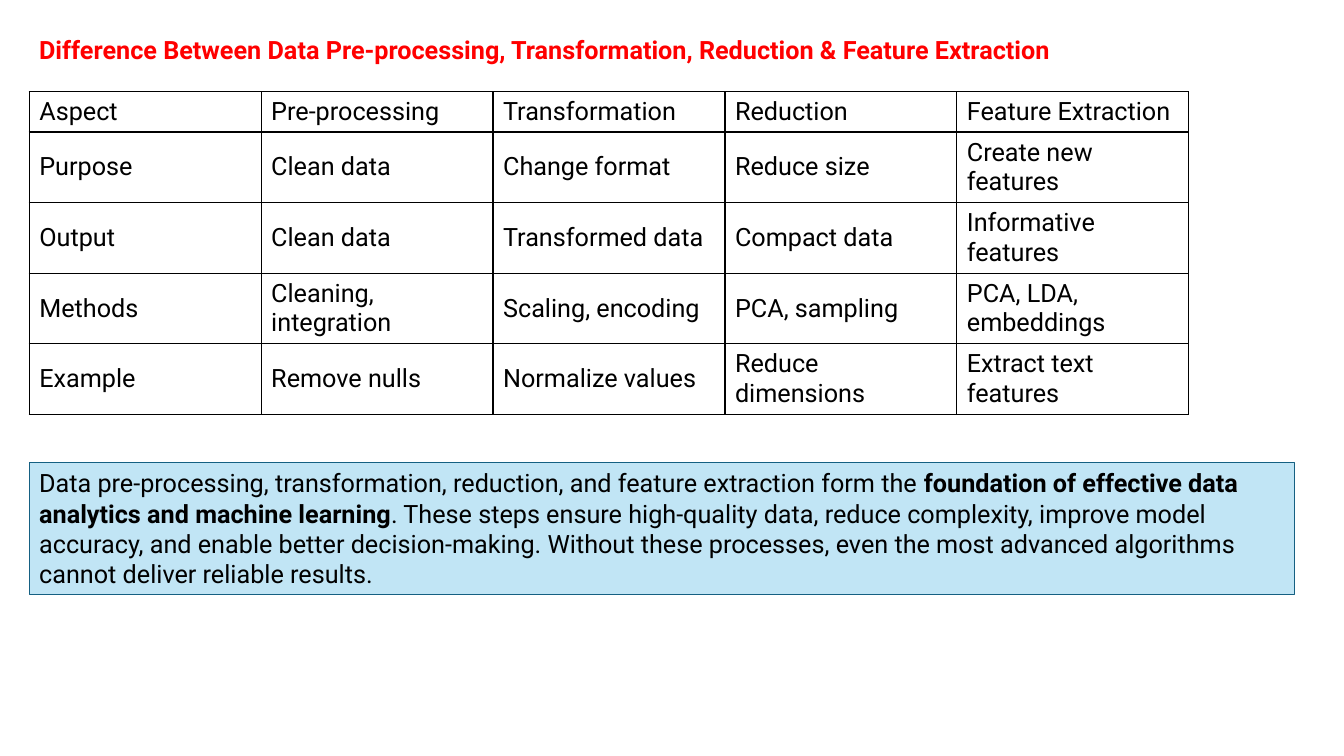
from dataclasses import dataclass

from lxml import etree
from pptx import Presentation
from pptx import util as u
from pptx.dml.color import RGBColor
from pptx.enum import shapes, text
from pptx.oxml.ns import qn


@dataclass(frozen=True)
class Theme:
    font: str = "Roboto"
    size: int = 18
    title: str = "FF0000"
    ink: str = "000000"
    panel: str = "C1E5F5"
    panel_line: str = "156082"
    grid_width: float = 1
    panel_line_width: float = 0.75


class SlideBuilder:
    def __init__(self, slide, theme):
        self.slide = slide
        self.theme = theme

    def set_runs(self, text_frame, runs, color):
        """Fill a frame with one left-aligned paragraph of (words, bold) runs."""
        text_frame.word_wrap = True
        paragraph = text_frame.paragraphs[0]
        paragraph.alignment = text.PP_ALIGN.LEFT
        for words, bold in runs:
            run = paragraph.add_run()
            run.text = words
            run.font.name = self.theme.font
            run.font.size = u.Pt(self.theme.size)
            run.font.bold = bold
            run.font.color.rgb = RGBColor.from_string(color)

    def title(self, words, left, top, width, height):
        box = self.slide.shapes.add_textbox(*map(u.Inches, (left, top, width, height)))
        self.set_runs(box.text_frame, [(words, True)], self.theme.title)

    def panel(self, runs, left, top, width, height):
        shape = self.slide.shapes.add_shape(
            shapes.MSO_SHAPE.RECTANGLE, *map(u.Inches, (left, top, width, height)))
        shape.shadow.inherit = False
        shape.fill.solid()
        shape.fill.fore_color.rgb = RGBColor.from_string(self.theme.panel)
        shape.line.color.rgb = RGBColor.from_string(self.theme.panel_line)
        shape.line.width = u.Pt(self.theme.panel_line_width)
        shape.text_frame.vertical_anchor = text.MSO_ANCHOR.TOP
        self.set_runs(shape.text_frame, runs, self.theme.ink)

    def cell_borders(self, cell):
        properties = cell._tc.get_or_add_tcPr()
        for side in ("lnL", "lnR", "lnT", "lnB"):
            line = etree.SubElement(properties, qn(f"a:{side}"),
                                    w=str(u.Pt(self.theme.grid_width)))
            fill = etree.SubElement(line, qn("a:solidFill"))
            etree.SubElement(fill, qn("a:srgbClr"), val=self.theme.ink)

    def table(self, rows, left, top, column_width, row_heights):
        frame = self.slide.shapes.add_table(
            len(rows), len(rows[0]), u.Inches(left), u.Inches(top),
            u.Inches(column_width * len(rows[0])), u.Inches(sum(row_heights)))
        table = frame.table
        table.first_row = table.horz_banding = False
        for column in table.columns:
            column.width = u.Inches(column_width)
        for row_index, (values, height) in enumerate(zip(rows, row_heights)):
            table.rows[row_index].height = u.Inches(height)
            for column_index, value in enumerate(values):
                cell = table.cell(row_index, column_index)
                cell.vertical_anchor = text.MSO_ANCHOR.MIDDLE
                self.cell_borders(cell)
                cell.fill.background()
                self.set_runs(cell.text_frame, [(value, False)], self.theme.ink)


COMPARISON = [
    ("Aspect", "Pre-processing", "Transformation", "Reduction", "Feature Extraction"),
    ("Purpose", "Clean data", "Change format", "Reduce size", "Create new features"),
    ("Output", "Clean data", "Transformed data", "Compact data", "Informative features"),
    ("Methods", "Cleaning, integration", "Scaling, encoding", "PCA, sampling",
     "PCA, LDA, embeddings"),
    ("Example", "Remove nulls", "Normalize values", "Reduce dimensions",
     "Extract text features"),
]

CONCLUSION = [
    ("Data pre-processing, transformation, reduction, and feature extraction form the ",
     False),
    ("foundation of effective data analytics and machine learning", True),
    (". These steps ensure high-quality data, reduce complexity, improve model accuracy, "
     "and enable better decision-making. Without these processes, even the most advanced "
     "algorithms cannot deliver reliable results.", False),
]


def main():
    presentation = Presentation()
    presentation.slide_width = u.Inches(13.33)
    presentation.slide_height = u.Inches(7.5)
    slide = presentation.slides.add_slide(presentation.slide_layouts[6])
    builder = SlideBuilder(slide, Theme())
    margin = 0.29

    # Heading
    builder.title("Difference Between Data Pre-processing, Transformation, "
                  "Reduction & Feature Extraction", margin, 0.29, 12.67, 0.4)

    # Comparison table: a one-line header above two-line rows
    row_heights = [0.4] + [0.7] * (len(COMPARISON) - 1)
    builder.table(COMPARISON, margin, 0.91, 2.3, row_heights)

    # Conclusion panel
    builder.panel(CONCLUSION, margin, 4.59, 12.55, 1.31)

    presentation.save("out.pptx")


if __name__ == "__main__":
    main()
